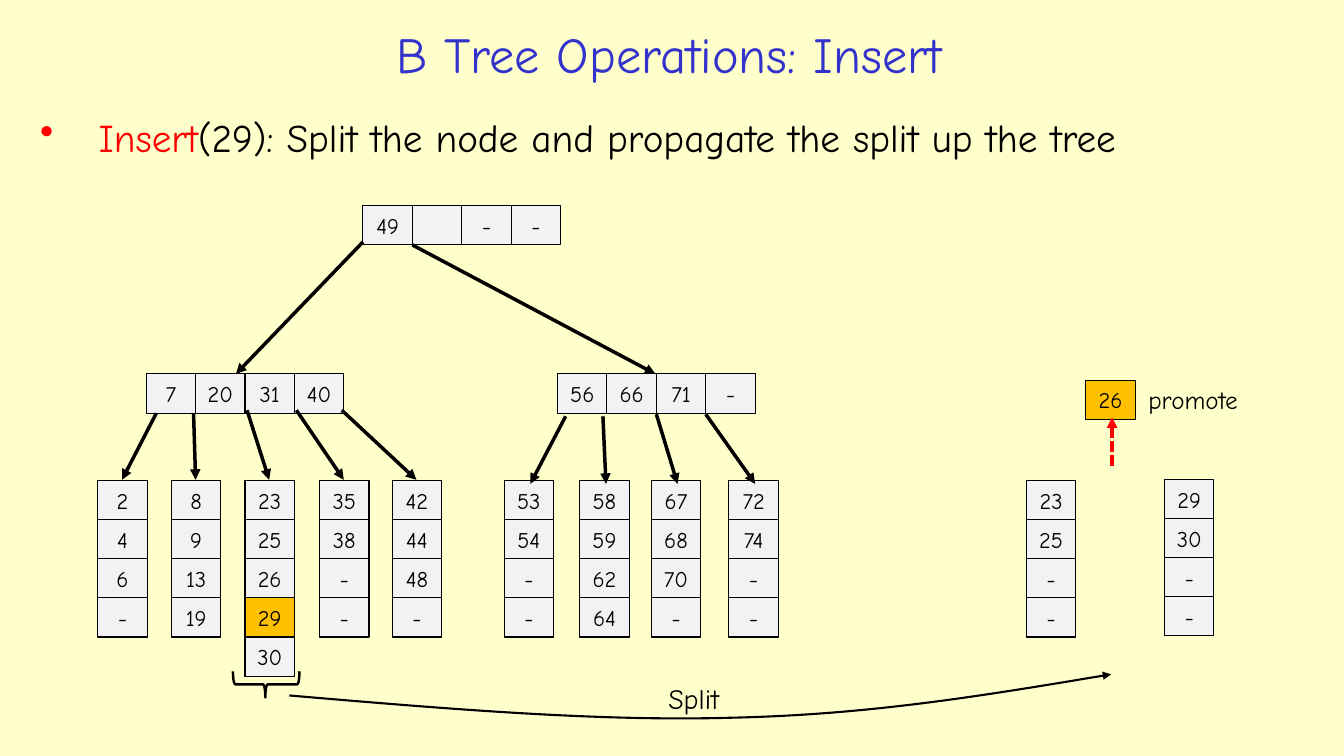
from lxml.etree import SubElement
from pptx import Presentation
from pptx.dml.color import RGBColor
from pptx.enum.dml import MSO_LINE
from pptx.enum.shapes import MSO_CONNECTOR, MSO_SHAPE
from pptx.enum.text import MSO_ANCHOR, PP_ALIGN
from pptx.oxml.ns import qn
from pptx.util import Pt

PX = 9144  # 100 px to the inch
FONT = "Comic Neue"
COLORS = {
    "background": "FFFFCC", "title": "3333CC", "accent": "FF0000",
    "ink": "000000", "cell": "F2F2F2", "highlight": "FFC000",
}
CELL_W, CELL_H = 49, 39
LEAF_H = 155


def px(*lengths):
    return [round(length * PX) for length in lengths]


def color(name):
    return RGBColor.from_string(COLORS[name])


def write(shape, *runs, size=16, align=PP_ALIGN.LEFT, anchor=MSO_ANCHOR.TOP,
          wrap=True, margin=None, bullet_indent=None):
    """Fill a shape with one paragraph of (text, color) runs."""
    frame = shape.text_frame
    frame.word_wrap = wrap
    frame.vertical_anchor = anchor
    if margin is not None:
        frame.margin_left = frame.margin_right = margin
        frame.margin_top = frame.margin_bottom = margin
    paragraph = frame.paragraphs[0]
    paragraph.alignment = align
    if bullet_indent:
        properties = paragraph._p.get_or_add_pPr()
        properties.set("marL", str(bullet_indent * PX))
        properties.set("indent", str(-bullet_indent * PX))
        SubElement(properties, qn("a:buChar")).set("char", "•")
    for text, ink in runs:
        run = paragraph.add_run()
        run.text = text
        run.font.name = FONT
        run.font.size = Pt(size)
        run.font.color.rgb = color(ink)


def label(shapes, box, *runs, **text_format):
    write(shapes.add_textbox(*px(*box)), *runs, **text_format)


def stroke(shape, width, ink="ink", arrow=False):
    shape.line.color.rgb = color(ink)
    shape.line.width = Pt(width)
    if arrow:
        SubElement(shape.line._get_or_add_ln(), qn("a:tailEnd")).set("type", "triangle")


def arrow(shapes, start, end, ink="ink", dash=None):
    link = shapes.add_connector(MSO_CONNECTOR.STRAIGHT, *px(*start, *end))
    SubElement(link._element.spPr, qn("a:effectLst"))
    if dash:
        link.line.dash_style = dash
    stroke(link, 2.5, ink, arrow=True)


def node(shapes, box, keys, vertical=False, highlight=None):
    """Divide the box evenly into one cell per key."""
    left, top, width, height = box
    cell_w = width if vertical else width / len(keys)
    cell_h = height / len(keys) if vertical else height
    for i, key in enumerate(keys):
        x, y = (left, top + i * cell_h) if vertical else (left + i * cell_w, top)
        cell = shapes.add_shape(MSO_SHAPE.RECTANGLE, *px(x, y, cell_w, cell_h))
        cell.shadow.inherit = False
        cell.fill.solid()
        cell.fill.fore_color.rgb = color("highlight" if key == highlight else "cell")
        stroke(cell, 0.75)
        if key:
            write(cell, (key, "ink"), align=PP_ALIGN.CENTER,
                  anchor=MSO_ANCHOR.MIDDLE, margin=0)


def leaf(shapes, left, top, keys, highlight=None):
    height = LEAF_H * len(keys) / 4
    node(shapes, (left, top, CELL_W, height), keys, vertical=True, highlight=highlight)


def subtree(shapes, left, top, keys, leaves, starts, tip):
    """Inner node at (left, top); leaves and arrow starts are offsets from it."""
    node(shapes, (left, top, 4 * CELL_W, CELL_H), keys)
    for (offset, leaf_keys), (start_x, start_y) in zip(leaves, starts):
        leaf_left = left + offset
        leaf(shapes, leaf_left, top + 106, leaf_keys, highlight="29")
        arrow(shapes, (left + start_x, top + start_y), (leaf_left + tip[0], top + tip[1]))


def heading(shapes, left, top, width):
    label(shapes, (left + 67, top, width - 134, 76), ("B Tree Operations: Insert", "title"),
          size=36, align=PP_ALIGN.CENTER, anchor=MSO_ANCHOR.MIDDLE)
    bullet = shapes.add_textbox(*px(left, top + 92, width, 69))
    write(bullet, ("Insert", "accent"),
          ("(29): Split the node and propagate the split up the tree", "ink"),
          size=28, bullet_indent=58)


def tree(shapes, left, top):
    node(shapes, (left + 263, top, 4 * CELL_W, CELL_H), ["49", "", "-", "-"])
    arrow(shapes, (left + 263, top + 36), (left + 137, top + 167))
    arrow(shapes, (left + 312, top + 39), (left + 553, top + 167))
    subtree(
        shapes, left + 48, top + 167, ["7", "20", "31", "40"],
        [(-48, ["2", "4", "6", "-"]), (25, ["8", "9", "13", "19"]),
         (98, ["23", "25", "26", "29", "30"]), (172, ["35", "38", "-", "-"]),
         (244, ["42", "44", "48", "-"])],
        [(10, 39), (47, 39), (100, 36), (149, 36), (194, 36)], tip=(24, 105))
    subtree(
        shapes, left + 456, top + 167, ["56", "66", "71", "-"],
        [(-53, ["53", "54", "-", "-"]), (22, ["58", "59", "62", "64"]),
         (93, ["67", "68", "70", "-"]), (170, ["72", "74", "-", "-"])],
        [(8, 42), (45, 42), (98, 40), (147, 40)], tip=(26, 109))


def split_result(shapes, left, top):
    """Two halves of the split leaf and the promoted key above them."""
    leaf(shapes, left, top + 101, ["23", "25", "-", "-"])
    leaf(shapes, left + 137, top + 100, ["29", "30", "-", "-"])
    node(shapes, (left + 59, top + 1, CELL_W, CELL_H), ["26"], highlight="26")
    label(shapes, (left + 111, top, 118, 40), ("promote", "ink"), size=18, wrap=False)
    arrow(shapes, (left + 85, top + 86), (left + 85, top + 38), "accent", MSO_LINE.SQUARE_DOT)


def split_arrow(shapes, left, top):
    brace = shapes.add_shape(MSO_SHAPE.RIGHT_BRACE, *px(left + 20, top - 20, 26, 66))
    brace.rotation = 90
    brace.adjustments[0], brace.adjustments[1] = 0.083, 0.513
    brace.shadow.inherit = False
    brace.fill.background()
    stroke(brace, 1.75)

    # Two Bézier segments, each given by two controls and an end
    bends = [(209, 37), (361, 50), (496, 46), (632, 43), (751, 23), (871, 3)]
    builder = shapes.build_freeform(left + 56, top + 24, scale=PX)
    builder.add_line_segments([(left + x, top + y) for x, y in bends], close=False)
    curve = builder.convert_to_shape()
    segments = list(curve._element.iter(qn("a:lnTo")))
    for first in range(0, len(segments), 3):
        bezier = segments[first]
        bezier.tag = qn("a:cubicBezTo")
        for segment in segments[first + 1:first + 3]:
            bezier.append(segment[0])
            segment.getparent().remove(segment)
    curve.shadow.inherit = False
    curve.fill.background()
    stroke(curve, 1.5, arrow=True)
    label(shapes, (left + 422, top + 5, 83, 44), ("Split", "ink"), size=20, wrap=False)


def main():
    deck = Presentation()
    deck.slide_width, deck.slide_height = px(1333, 750)
    slide = deck.slides.add_slide(deck.slide_layouts[6])
    slide.background.fill.solid()
    slide.background.fill.fore_color.rgb = color("background")

    heading(slide.shapes, 30, 15, 1267)
    tree(slide.shapes, 97, 204)
    split_result(slide.shapes.add_group_shape().shapes, 1018, 376)
    split_arrow(slide.shapes, 231, 666)
    deck.save("out.pptx")


if __name__ == "__main__":
    main()
